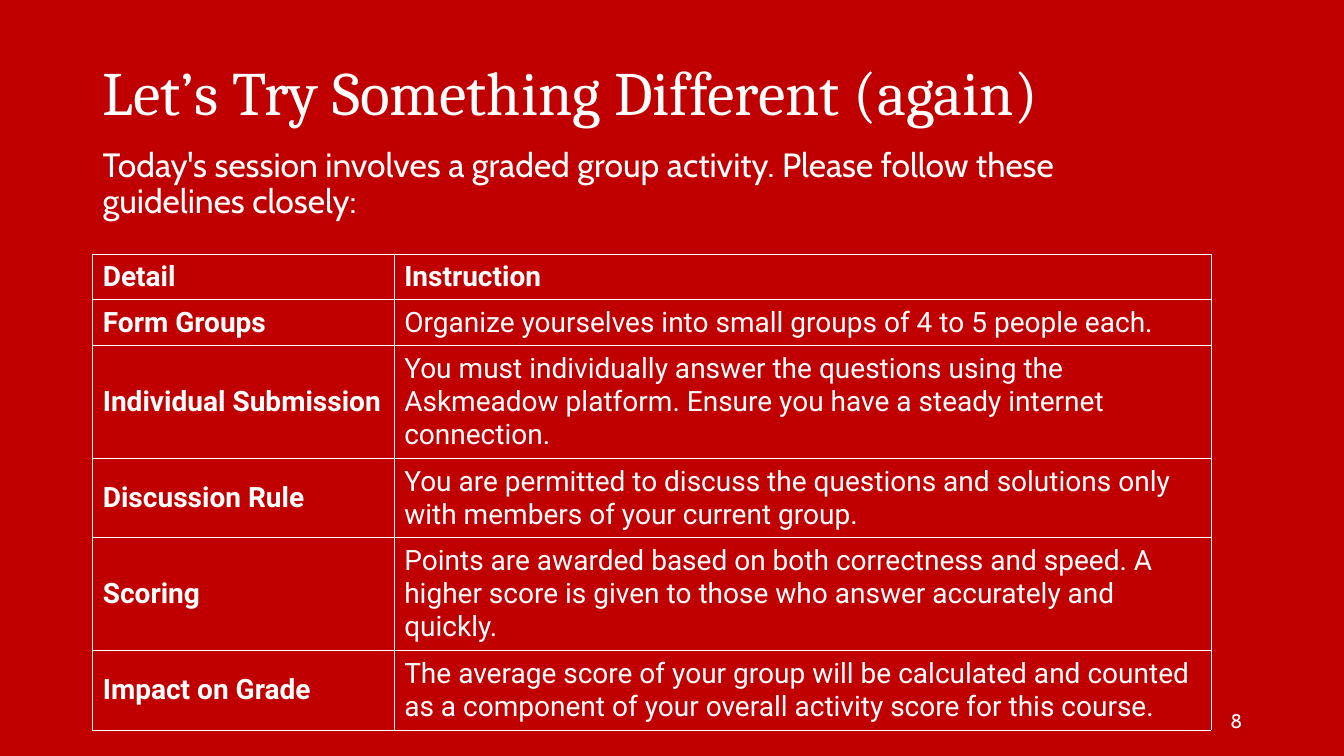
from lxml import etree
from pptx import Presentation
from pptx import util as u
from pptx.dml.color import RGBColor
from pptx.enum import text
from pptx.oxml.ns import qn

WIDTH, HEIGHT = 13.33, 7.5
LEFT = 0.92
COLORS = {"red": "C00000", "white": "FFFFFF"}
COLUMNS = (2.99, 8.1)
SHORT_ROW, TALL_ROW = 0.45, 0.77
SHORT_ROW_COUNT = 2
BORDER_POINTS = 0.6

GUIDELINES = [
    ("Detail", "Instruction"),
    ("Form Groups", "Organize yourselves into small groups of 4 to 5 people each."),
    ("Individual Submission",
     "You must individually answer the questions using the Askmeadow platform. "
     "Ensure you have a steady internet connection."),
    ("Discussion Rule",
     "You are permitted to discuss the questions and solutions only with members "
     "of your current group."),
    ("Scoring",
     "Points are awarded based on both correctness and speed. A higher score is "
     "given to those who answer accurately and quickly."),
    ("Impact on Grade",
     "The average score of your group will be calculated and counted as a "
     "component of your overall activity score for this course."),
]


def write(frame, words, font, size, bold=False, align=text.PP_ALIGN.LEFT, spacing=1.0):
    para = frame.paragraphs[0]
    para.alignment = align
    para.line_spacing = spacing
    span = para.add_run()
    span.text = words
    span.font.name = font
    span.font.size = u.Pt(size)
    span.font.bold = bold
    span.font.color.rgb = RGBColor.from_string(COLORS["white"])


def place(box, left, top, width, height):
    box.left, box.top = u.Inches(left), u.Inches(top)
    box.width, box.height = u.Inches(width), u.Inches(height)


def add_title(page, words):
    title = page.shapes.title
    place(title, LEFT, 0.4, 11.5, 1.1)
    frame = title.text_frame
    frame.auto_size = text.MSO_AUTO_SIZE.NONE
    frame.vertical_anchor = text.MSO_ANCHOR.MIDDLE
    write(frame, words, "Cambria", 44, spacing=0.9)


def add_text(page, bounds, words, size, anchor=text.MSO_ANCHOR.TOP, **style):
    box = page.shapes.add_textbox(*map(u.Inches, bounds))
    frame = box.text_frame
    frame.word_wrap = True
    frame.vertical_anchor = anchor
    write(frame, words, "Cabin", size, **style)


def add_borders(cell):
    properties = cell._tc.get_or_add_tcPr()
    for side in ("a:lnL", "a:lnR", "a:lnT", "a:lnB"):
        line = etree.SubElement(properties, qn(side), w=str(u.Pt(BORDER_POINTS)))
        fill = etree.SubElement(line, qn("a:solidFill"))
        etree.SubElement(fill, qn("a:srgbClr"), val=COLORS["white"])


def fill_cell(cell, words, bold):
    cell.margin_left = cell.margin_right = u.Inches(0.1)
    cell.margin_top = cell.margin_bottom = u.Inches(0.06)
    cell.vertical_anchor = text.MSO_ANCHOR.MIDDLE
    add_borders(cell)
    cell.fill.background()
    write(cell.text_frame, words, "Roboto", 20, bold)


def add_guidelines(page, top):
    heights = [SHORT_ROW if index < SHORT_ROW_COUNT else TALL_ROW
               for index in range(len(GUIDELINES))]
    bounds = (LEFT, top, sum(COLUMNS), sum(heights))
    table = page.shapes.add_table(
        len(GUIDELINES), len(COLUMNS), *map(u.Inches, bounds)).table
    table.first_row = table.horz_banding = False
    for column, width in zip(table.columns, COLUMNS):
        column.width = u.Inches(width)
    for row, height in zip(table.rows, heights):
        row.height = u.Inches(height)
    for row_index, row in enumerate(GUIDELINES):
        for column_index, words in enumerate(row):
            bold = row_index == 0 or column_index == 0
            fill_cell(table.cell(row_index, column_index), words, bold)


def main():
    deck = Presentation()
    deck.slide_width, deck.slide_height = u.Inches(WIDTH), u.Inches(HEIGHT)
    page = deck.slides.add_slide(deck.slide_layouts.get_by_name("Title Only"))
    page.background.fill.solid()
    page.background.fill.fore_color.rgb = RGBColor.from_string(COLORS["red"])

    add_title(page, "Let’s Try Something Different (again)")
    add_text(page, (9.42, 6.95, 3, 0.4), "8", 14,
             anchor=text.MSO_ANCHOR.MIDDLE, align=text.PP_ALIGN.RIGHT)
    add_text(page, (LEFT, 1.42, 10.77, 1),
             "Today's session involves a graded group activity. "
             "Please follow these guidelines closely:", 24, spacing=0.9)
    add_guidelines(page, 2.52)
    deck.save("out.pptx")


if __name__ == "__main__":
    main()
